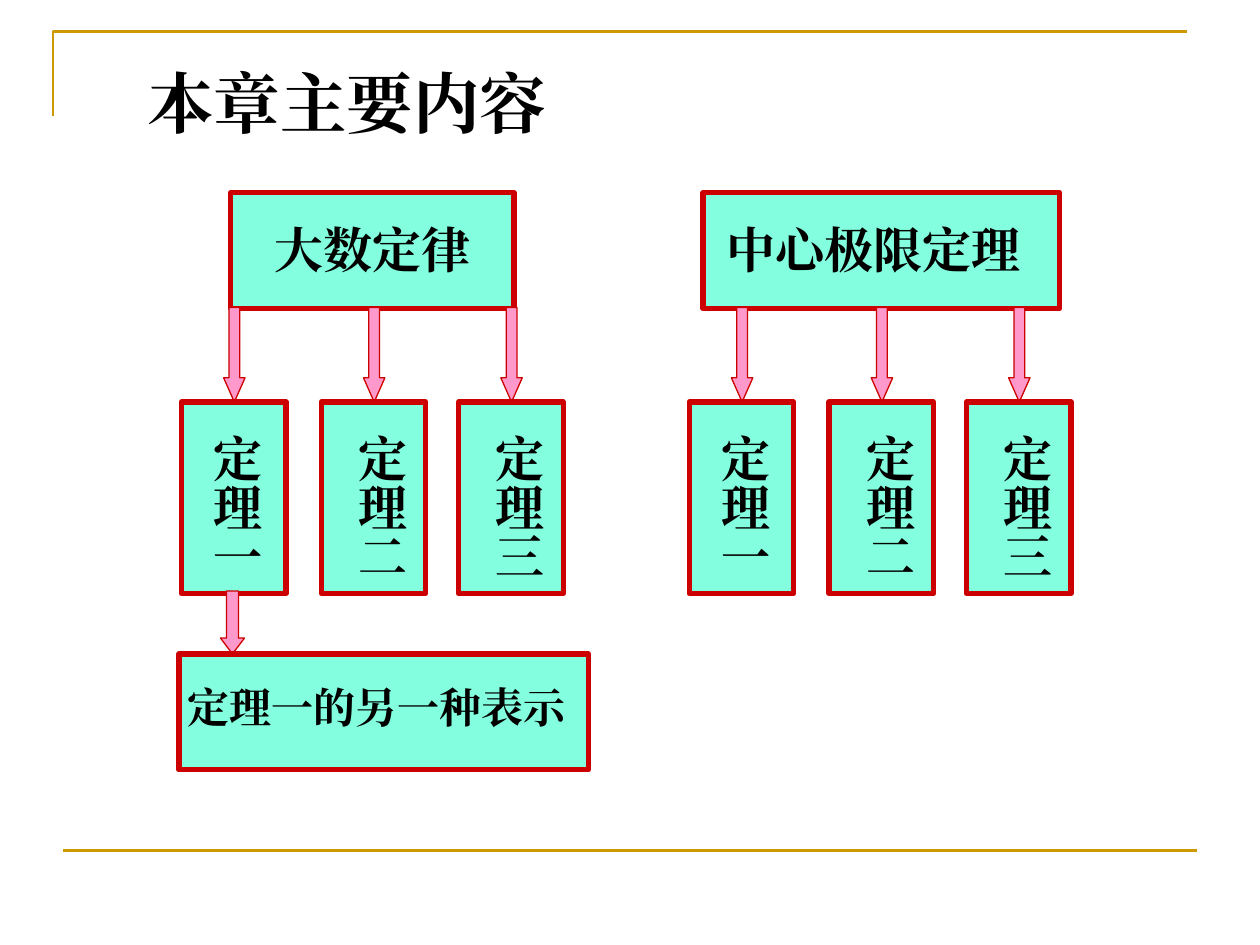
from pptx import Presentation
from pptx.dml.color import RGBColor
from pptx.enum.shapes import MSO_CONNECTOR as Conn, MSO_SHAPE as Kind
from pptx.enum.text import MSO_AUTO_SIZE as Auto
from pptx.oxml.ns import qn
from pptx.util import Inches, Pt
from lxml.etree import SubElement

# Content
TITLE = "本章主要内容"
ITEMS = [("定理一", 0, 0.06), ("定理二", 1.11, 0.1), ("定理三", 2.2, 0.1)]
# heading, box left and width, text left and width, left of first item
GROUPS = [
    ("大数定律", 1.83, 2.25, 2.08, 1.83, 1.44),
    ("中心极限定理", 5.58, 2.83, 5.67, 2.58, 5.47),
]
NOTE = "定理一的另一种表示"

FONT = "Times New Roman"
COLORS = {"gold": "CC9900", "mint": "83FFDF", "red": "CC0000",
          "pink": "FF99CC", "text": "000000"}
HEAD_Y, ITEM_Y, NOTE_Y = 1.53, 3.19, 5.19
BOX_H, ITEM_W, ITEM_H = 0.92, 0.83, 1.52

deck = Presentation()
deck.slide_width, deck.slide_height = Inches(10), Inches(7.5)
shapes = deck.slides.add_slide(deck.slide_layouts[6]).shapes


def color(name):
    return RGBColor.from_string(COLORS[name])


def style(line, name, width):
    line.color.rgb = color(name)
    line.width = Pt(width)


def block(kind, x, y, w, h, fill, width):
    part = shapes.add_shape(kind, *map(Inches, (x, y, w, h)))
    part.shadow.inherit = False
    part.fill.solid()
    part.fill.fore_color.rgb = color(fill)
    style(part.line, "red", width)
    return part


def box(x, y, w, h):
    block(Kind.RECTANGLE, x, y, w, h, "mint", 3)


def arrow(x, y, w, h, head):
    part = block(Kind.DOWN_ARROW, x, y, w, h, "pink", 0.75)
    part.adjustments[0] = 0.5
    part.adjustments[1] = head


def label(text, x, y, w, h, size, tall=False, grow=True):
    part = shapes.add_textbox(*map(Inches, (x, y, w, h)))
    frame = part.text_frame
    frame.word_wrap = True
    frame.auto_size = Auto.SHAPE_TO_FIT_TEXT if grow else Auto.NONE
    side, edge = (0.05, 0.1) if tall else (0.1, 0.05)
    frame.margin_left = frame.margin_right = Inches(side)
    frame.margin_top = frame.margin_bottom = Inches(edge)
    if tall:
        frame._txBody.bodyPr.set("vert", "eaVert")
    run = frame.paragraphs[0].add_run()
    run.text = text
    font = run.font
    font.name, font.size, font.bold = FONT, Pt(size), True
    font.color.rgb = color("text")
    SubElement(run._r.get_or_add_rPr(), qn("a:ea")).set("typeface", FONT)


# Frame lines
pen = shapes.build_freeform(Inches(0.42), Inches(0.92), scale=1.0)
pen.add_line_segments([(Inches(0.42), Inches(0.25)),
                       (Inches(9.42), Inches(0.25))], close=False)
corner = pen.convert_to_shape()
corner.shadow.inherit = False
corner.fill.background()
style(corner.line, "gold", 1.5)
rule = shapes.add_connector(Conn.STRAIGHT, Inches(0.5), Inches(6.75),
                            Inches(9.5), Inches(6.75))
style(rule.line, "gold", 1.5)
SubElement(rule._element.spPr, qn("a:effectLst"))

# Title
label(TITLE, 1.07, 0.44, 8.5, 1.25, 38, grow=False)

# Headings, each with three theorems below
for head, x, w, text_x, text_w, start in GROUPS:
    box(x, HEAD_Y, w, BOX_H)
    label(head, text_x, 1.69, text_w, 0.57, 28)
    for text, shift, inset in ITEMS:
        left = start + shift
        arrow(left + 0.335, 2.44, 0.17, 0.75, 1.126)
        box(left, ITEM_Y, ITEM_W, ITEM_H)
        label(text, left + inset, 3.35, 0.66, 1.42, 28, tall=True)

# Other form of the first theorem
arrow(1.75, 4.69, 0.19, 0.5, 0.66)
box(1.42, NOTE_Y, 3.25, BOX_H)
label(NOTE, 1.39, 5.36, 3.33, 0.5, 24)

deck.save("out.pptx")
